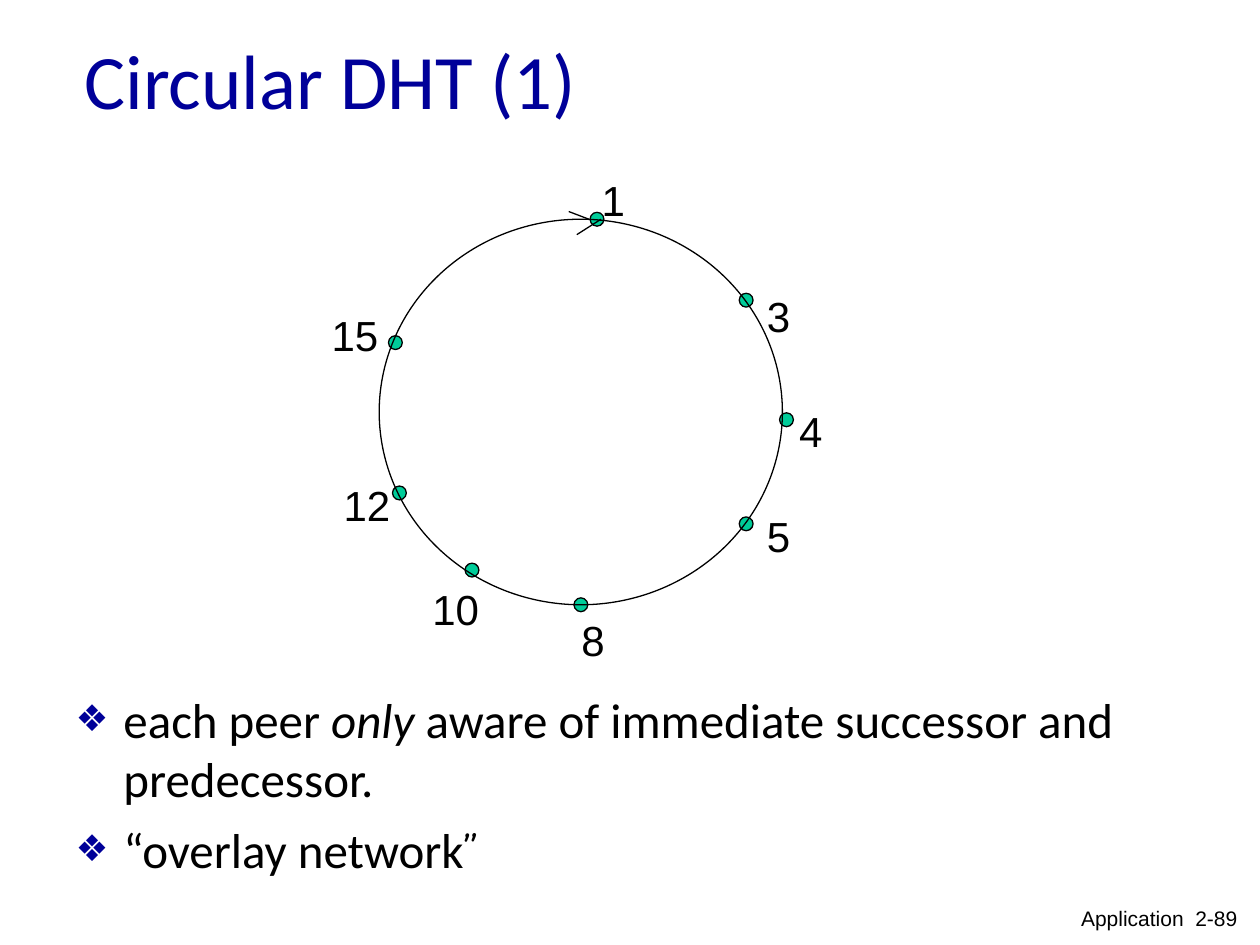
from dataclasses import dataclass

from lxml.etree import SubElement
from pptx import Presentation
from pptx.dml.color import RGBColor
from pptx.enum.shapes import MSO_CONNECTOR, MSO_SHAPE
from pptx.enum.text import MSO_ANCHOR, MSO_AUTO_SIZE, PP_ALIGN
from pptx.oxml.ns import qn
from pptx.util import Inches, Pt


@dataclass(frozen=True)
class Theme:
    """Colours, fonts and sizes of the slide."""
    ink: str = "000000"
    accent: str = "000099"
    peer: str = "00CC99"
    heading_font: str = "Calibri"
    label_font: str = "Arial"
    quote_font: str = "Comic Neue"
    title_size: int = 44
    body_size: int = 28
    label_size: int = 24
    footer_size: int = 12
    line_width: float = 0.74


@dataclass(frozen=True)
class Box:
    """A rectangle in inches, addressed by shares of its size."""
    left: float
    top: float
    width: float
    height: float

    def point(self, across, down):
        """Return the position at the given shares."""
        return self.left + across * self.width, self.top + down * self.height

    def lengths(self):
        """Return left, top, width and height as slide lengths."""
        return [Inches(value) for value in (self.left, self.top, self.width, self.height)]


THEME = Theme()
DOT = 0.11
PEERS = [
    ("1", (0.54, 0), (0.58, -0.05)),
    ("3", (0.91, 0.21), (0.99, 0.25)),
    ("4", (1.01, 0.52), (1.07, 0.55)),
    ("5", (0.91, 0.79), (0.99, 0.82)),
    ("8", (0.5, 1), (0.53, 1.09)),
    ("10", (0.23, 0.91), (0.19, 1.01)),
    ("12", (0.05, 0.71), (-0.03, 0.74)),
    ("15", (0.04, 0.32), (-0.06, 0.3)),
]
ARROW_STROKES = [((0.47, -0.02), (0.52, 0)), ((0.55, 0), (0.49, 0.04))]
BULLETS = [
    [("each peer ", "plain"), ("only", "italic"),
     (" aware of immediate successor and predecessor.", "plain")],
    [("\u201coverlay network", "plain"), ("\u201d", "quote")],
]


def centred_box(centre, width, height):
    """Return a box of the given size around a centre."""
    return Box(centre[0] - width / 2, centre[1] - height / 2, width, height)


def style_font(font, name, size, color):
    """Set typeface, size and colour."""
    font.name, font.size = name, Pt(size)
    font.color.rgb = RGBColor.from_string(color)


def style_line(line):
    """Give a line the thin ink stroke."""
    line.color.rgb = RGBColor.from_string(THEME.ink)
    line.width = Pt(THEME.line_width)


def place(shape, box):
    """Move a placeholder into a box."""
    shape.left, shape.top, shape.width, shape.height = box.lengths()


def add_title(slide, box):
    """Fill the title placeholder."""
    title = slide.shapes.title
    place(title, box)
    frame = title.text_frame
    frame.text = "Circular DHT (1)"
    frame.vertical_anchor = MSO_ANCHOR.MIDDLE
    frame.paragraphs[0].alignment = PP_ALIGN.LEFT
    style_font(frame.paragraphs[0].runs[0].font, THEME.heading_font, THEME.title_size, THEME.accent)


def add_ellipse(slide, box, fill=None):
    """Draw an outlined ellipse, hollow unless a fill is given."""
    ellipse = slide.shapes.add_shape(MSO_SHAPE.OVAL, *box.lengths())
    ellipse.shadow.inherit = False
    if fill:
        ellipse.fill.solid()
        ellipse.fill.fore_color.rgb = RGBColor.from_string(fill)
    else:
        ellipse.fill.background()
    style_line(ellipse.line)


def add_label(slide, box, text, size, alignment, wrap):
    """Write one line of text in a box."""
    frame = slide.shapes.add_textbox(*box.lengths()).text_frame
    frame.text = text
    frame.word_wrap = wrap
    paragraph = frame.paragraphs[0]
    paragraph.alignment = alignment
    style_font(paragraph.runs[0].font, THEME.label_font, size, THEME.ink)
    return paragraph


def add_stroke(slide, start, end):
    """Draw a straight line between two points."""
    stroke = slide.shapes.add_connector(
        MSO_CONNECTOR.STRAIGHT, *[Inches(value) for value in (*start, *end)])
    style_line(stroke.line)
    SubElement(stroke._element.spPr, qn("a:effectLst"))


def add_peer_ring(slide, box):
    """Draw the ring with its peers, labels and direction mark."""
    for text, dot, label in PEERS:
        add_ellipse(slide, centred_box(box.point(*dot), DOT, DOT), THEME.peer)
        label_box = centred_box(box.point(*label), 0.19 * (len(text) + 1), 0.5)
        paragraph = add_label(slide, label_box, text, THEME.label_size, PP_ALIGN.LEFT, False)
        paragraph.space_before = Pt(6)
    add_ellipse(slide, box)
    for start, end in ARROW_STROKES:
        add_stroke(slide, box.point(*start), box.point(*end))


def add_bullet_mark(paragraph):
    """Give a paragraph a hanging diamond bullet."""
    properties = paragraph._p.get_or_add_pPr()
    properties.set("marL", str(Inches(0.38)))
    properties.set("indent", str(-Inches(0.38)))
    color = SubElement(properties, qn("a:buClr"))
    SubElement(color, qn("a:srgbClr"), val=THEME.accent)
    SubElement(properties, qn("a:buSzPct"), val="75000")
    SubElement(properties, qn("a:buFont"), typeface=THEME.label_font)
    SubElement(properties, qn("a:buChar"), char="\u2756")


def add_body(slide, box):
    """Fill the body placeholder with the bullet list."""
    body = slide.placeholders[1]
    place(body, box)
    frame = body.text_frame
    frame.auto_size = MSO_AUTO_SIZE.NONE
    for index, pieces in enumerate(BULLETS):
        paragraph = frame.add_paragraph() if index else frame.paragraphs[0]
        paragraph.space_before = Pt(7)
        add_bullet_mark(paragraph)
        for text, style in pieces:
            run = paragraph.add_run()
            run.text = text
            name = THEME.quote_font if style == "quote" else THEME.heading_font
            style_font(run.font, name, THEME.body_size, THEME.ink)
            run.font.italic = style == "italic"


def build():
    """Build and save the presentation."""
    presentation = Presentation()
    presentation.slide_width, presentation.slide_height = Inches(10), Inches(7.5)
    slide = presentation.slides.add_slide(presentation.slide_layouts[1])
    add_title(slide, Box(0.57, 0, 8.5, 1.25))
    add_peer_ring(slide, Box(3.01, 1.74, 3.2, 3.06))
    add_body(slide, Box(0.5, 5.42, 9, 1.67))
    add_label(slide, Box(8.33, 7.14, 1.59, 0.31), "Application  2-89",
              THEME.footer_size, PP_ALIGN.RIGHT, True)
    presentation.save("out.pptx")


build()
